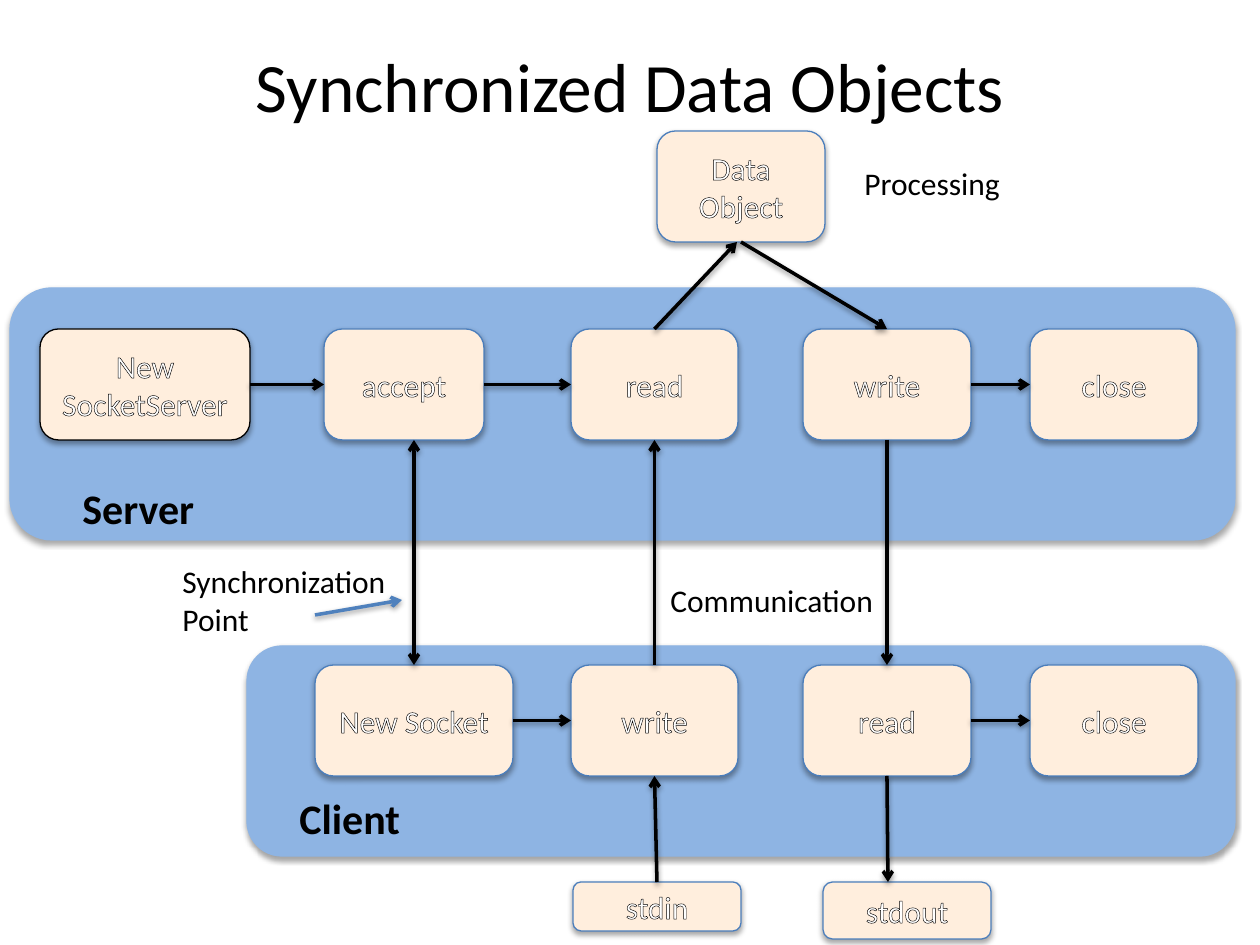
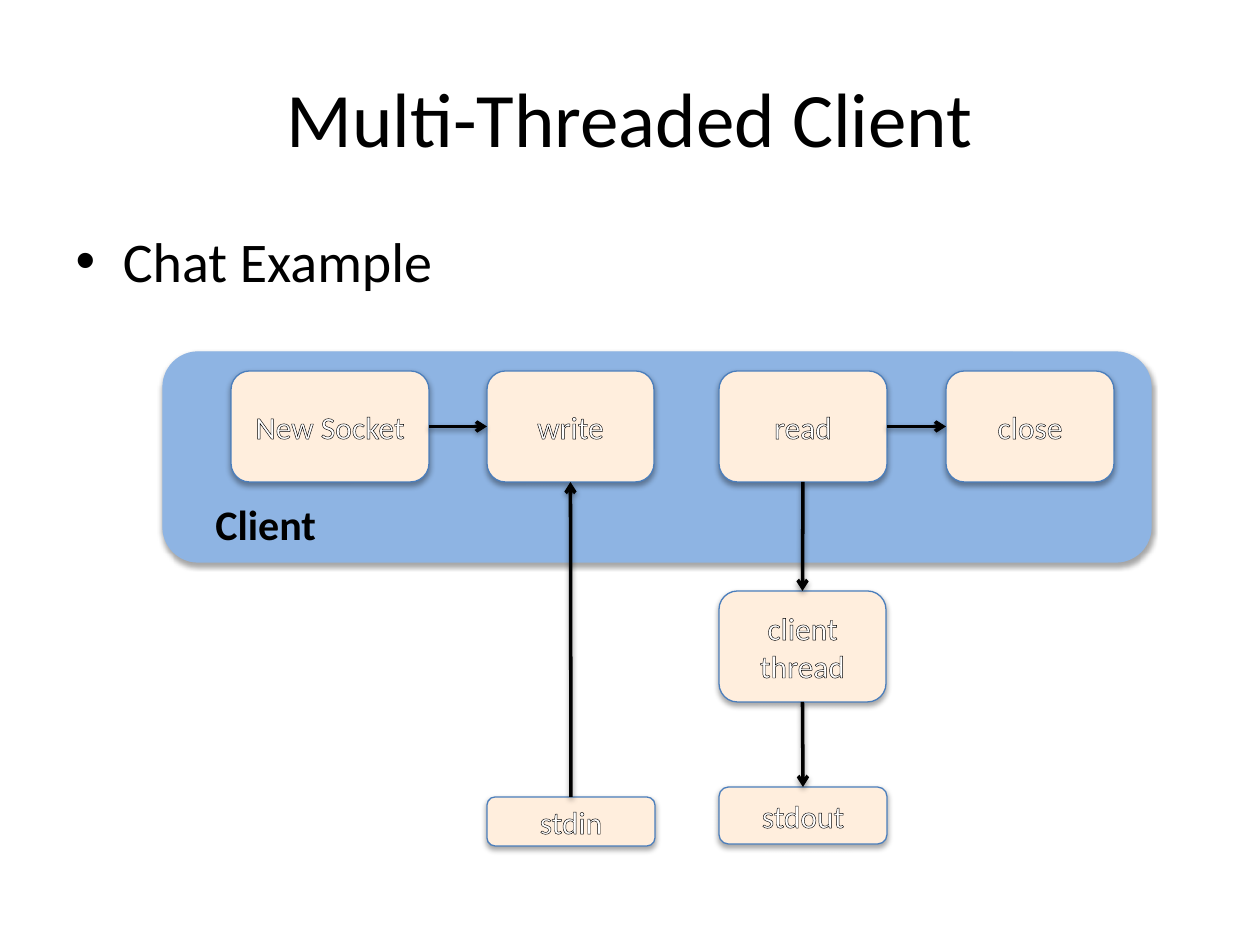
from pptx import Presentation
from pptx.dml.color import RGBColor
from pptx.enum.shapes import MSO_CONNECTOR, MSO_SHAPE
from pptx.enum.text import MSO_ANCHOR, MSO_AUTO_SIZE, PP_ALIGN
from pptx.oxml import parse_xml
from pptx.oxml.ns import nsdecls
from pptx.util import Pt

BLACK = RGBColor(0x00, 0x00, 0x00)
WHITE = RGBColor(0xFF, 0xFF, 0xFF)
PANEL_BLUE = RGBColor(0x8E, 0xB4, 0xE3)
EDGE_BLUE = RGBColor(0x4B, 0x7E, 0xBC)
POINTER_BLUE = RGBColor(0x4F, 0x81, 0xBD)
CREAM = RGBColor(0xFF, 0xEE, 0xDD)
FONT = "Calibri"
EMU_PER_PIXEL = 914400 / 126
TOP, LEFT, BOTTOM, RIGHT = range(4)  # connection sites of a rectangle
BOX_HEIGHT = 111

# Client panel, measured from its own corner
CLIENT_SIZE = (988, 210)
CLIENT_LABEL = ("Client", 40, 140, 127, 63)
CLIENT_TOP = 19
CLIENT_BOXES = [("New Socket", 68, 198), ("write", 324, 167),
                ("read", 556, 168), ("close", 783, 168)]

# Synchronized Data Objects: label, left, top, width, height
SERVER_PANEL = (10, 288, 1225, 252)
SERVER_TOP = 329
SERVER_BOXES = [("New SocketServer", 40, 210), ("accept", 324, 160),
                ("read", 571, 167), ("write", 803, 168), ("close", 1030, 168)]
SYNC_CLIENT = (247, 646)
SYNC_BOXES = [("stdin", 573, 882, 168, 49), ("stdout", 823, 882, 168, 57),
              ("Data Object", 657, 131, 168, BOX_HEIGHT)]
SYNC_LABELS = [("Processing", 852, 158, 162, 50),
               ("Synchronization\nPoint", 170, 556, 232, 89),
               ("Communication", 658, 575, 230, 50)]
SERVER_LABEL = ("Server", 70, 476, 139, 63)
# from, site, to, site, sideways shift of the end
SYNC_LINKS = [
    ("server New SocketServer", RIGHT, "server accept", LEFT, 0),
    ("server accept", RIGHT, "server read", LEFT, 0),
    ("server write", RIGHT, "server close", LEFT, 0),
    ("client write", TOP, "server read", BOTTOM, 0),
    ("server write", BOTTOM, "client read", TOP, 0),
    ("stdin", TOP, "client write", BOTTOM, 0),
    ("client read", BOTTOM, "stdout", TOP, -19),
    ("server read", TOP, "Data Object", BOTTOM, -4),
    ("Data Object", BOTTOM, "server write", TOP, 0),
]
POINTER = (315, 615, 402, 600)

# Multi-Threaded Client
CHAT_CLIENT = (163, 352)
CHAT_BOXES = [("stdin", 487, 797, 168, 49), ("stdout", 719, 787, 168, 57),
              ("client thread", 719, 591, 167, BOX_HEIGHT)]
CHAT_LINKS = [
    ("client read", BOTTOM, "client thread", TOP, 0),
    ("stdin", TOP, "client write", BOTTOM, 0),
    ("client thread", BOTTOM, "stdout", TOP, 0),
]


def emu(*pixels):
    """Turn pixel lengths into EMU."""
    return [round(value * EMU_PER_PIXEL) for value in pixels]


def add_shadow(shape, distance, opacity):
    """Give a shape or connector a soft shadow below it."""
    shape._element.spPr.append(parse_xml(
        f'<a:effectLst {nsdecls("a")}><a:outerShdw blurRad="40000" '
        f'dist="{distance}" dir="5400000" rotWithShape="0">'
        f'<a:srgbClr val="000000"><a:alpha val="{opacity}000"/></a:srgbClr>'
        '</a:outerShdw></a:effectLst>'))


def format_text(frame, size, color=BLACK, bold=False):
    """Set the font of every run in a text frame."""
    for para in frame.paragraphs:
        for span in para.runs:
            span.font.name, span.font.size = FONT, Pt(size)
            span.font.color.rgb, span.font.bold = color, bold


def add_panel(page, place, fill=PANEL_BLUE, edge=PANEL_BLUE):
    """Draw a rounded rectangle with a shadow."""
    panel = page.shapes.add_shape(MSO_SHAPE.ROUNDED_RECTANGLE, *emu(*place))
    panel.fill.solid()
    panel.fill.fore_color.rgb = fill
    panel.line.color.rgb, panel.line.width = edge, Pt(0.75)
    add_shadow(panel, 23000, 35)
    return panel


def add_box(page, label, *place, edge=EDGE_BLUE):
    """Draw a step box whose white text has a black outline."""
    box = add_panel(page, place, CREAM, edge)
    frame = box.text_frame
    frame.text, frame.word_wrap = label, True
    frame.vertical_anchor = MSO_ANCHOR.MIDDLE
    frame.paragraphs[0].alignment = PP_ALIGN.CENTER
    format_text(frame, 18, WHITE)
    for span in frame.paragraphs[0].runs:
        span._r.get_or_add_rPr().insert(0, parse_xml(
            f'<a:ln {nsdecls("a")} w="9525"><a:solidFill>'
            '<a:srgbClr val="000000"/></a:solidFill></a:ln>'))
    return box


def add_label(page, label, *place, size=18, bold=False):
    """Write a free-standing label."""
    frame = page.shapes.add_textbox(*emu(*place)).text_frame
    frame.text, frame.word_wrap = label, False
    frame.auto_size = MSO_AUTO_SIZE.SHAPE_TO_FIT_TEXT
    format_text(frame, size, bold=bold)


def add_arrow(page, points, color=BLACK, both=False):
    """Draw a straight arrow between two points given in EMU."""
    arrow = page.shapes.add_connector(MSO_CONNECTOR.STRAIGHT, *points)
    arrow.line.color.rgb, arrow.line.width = color, Pt(2)
    for end in ("headEnd", "tailEnd") if both else ("tailEnd",):
        arrow.line._get_or_add_ln().append(
            parse_xml(f'<a:{end} {nsdecls("a")} type="arrow"/>'))
    add_shadow(arrow, 20000, 38)
    return arrow


def site_point(box, site):
    """Return the middle of one side of a box."""
    across = {LEFT: 0, RIGHT: box.width}.get(site, box.width // 2)
    down = {TOP: 0, BOTTOM: box.height}.get(site, box.height // 2)
    return box.left + across, box.top + down


def link(page, start, start_site, end, end_site, shift=0, both=False):
    """Join two boxes, gluing each end that sits on a connection site."""
    end_x, end_y = site_point(end, end_site)
    points = (*site_point(start, start_site), end_x + emu(shift)[0], end_y)
    arrow = add_arrow(page, points, both=both)
    arrow.begin_connect(start, start_site)
    if not shift:
        arrow.end_connect(end, end_site)


def add_client(page, left, top):
    """Draw the client panel and return its boxes by name."""
    add_panel(page, (left, top, *CLIENT_SIZE))
    boxes = {f"client {label}": add_box(page, label, left + x, top + CLIENT_TOP,
                                        width, BOX_HEIGHT)
             for label, x, width in CLIENT_BOXES}
    label, x, y, *size = CLIENT_LABEL
    add_label(page, label, left + x, top + y, *size, size=24, bold=True)
    for start, end in (("New Socket", "write"), ("read", "close")):
        link(page, boxes[f"client {start}"], RIGHT, boxes[f"client {end}"], LEFT)
    return boxes


def add_diagram(page, boxes, extra_boxes, links):
    """Add the remaining boxes and every link of a slide."""
    for label, *place in extra_boxes:
        boxes[label] = add_box(page, label, *place)
    for start, start_site, end, end_site, shift in links:
        link(page, boxes[start], start_site, boxes[end], end_site, shift)


def add_page(deck, layout, title, height, size):
    """Add a slide with a centred title of the given height and size."""
    page = deck.slides.add_slide(deck.slide_layouts[layout])
    heading = page.shapes.title
    heading.left, heading.top, heading.width, heading.height = emu(63, 38, 1134, height)
    heading.text_frame.text = title
    heading.text_frame.vertical_anchor = MSO_ANCHOR.MIDDLE
    heading.text_frame.paragraphs[0].alignment = PP_ALIGN.CENTER
    format_text(heading.text_frame, size)
    return page


def build_sync_page(deck):
    """Build the slide with server, client and shared data object."""
    page = add_page(deck, 5, "Synchronized Data Objects", 93, 39.6)
    add_panel(page, SERVER_PANEL)
    boxes = {f"server {label}": add_box(page, label, left, SERVER_TOP, width, BOX_HEIGHT)
             for label, left, width in SERVER_BOXES}
    boxes["server New SocketServer"].line.color.rgb = BLACK
    boxes.update(add_client(page, *SYNC_CLIENT))
    add_label(page, *SERVER_LABEL, size=24, bold=True)
    for label in SYNC_LABELS:
        add_label(page, *label)
    add_diagram(page, boxes, SYNC_BOXES, SYNC_LINKS)
    link(page, boxes["client New Socket"], TOP, boxes["server accept"], BOTTOM,
         shift=10, both=True)
    add_arrow(page, emu(*POINTER), POINTER_BLUE)


def build_chat_page(deck):
    """Build the slide with the threaded client."""
    page = add_page(deck, 1, "Multi-Threaded Client", 157, 44)
    body = page.placeholders[1]
    body.left, body.top, body.width, body.height = emu(63, 220, 1134, 624)
    body.text_frame.text = "Chat Example"
    format_text(body.text_frame, 32)
    add_diagram(page, add_client(page, *CHAT_CLIENT), CHAT_BOXES, CHAT_LINKS)


deck = Presentation()
deck.slide_width, deck.slide_height = emu(1260, 945)
build_sync_page(deck)
build_chat_page(deck)
deck.save("out.pptx")
